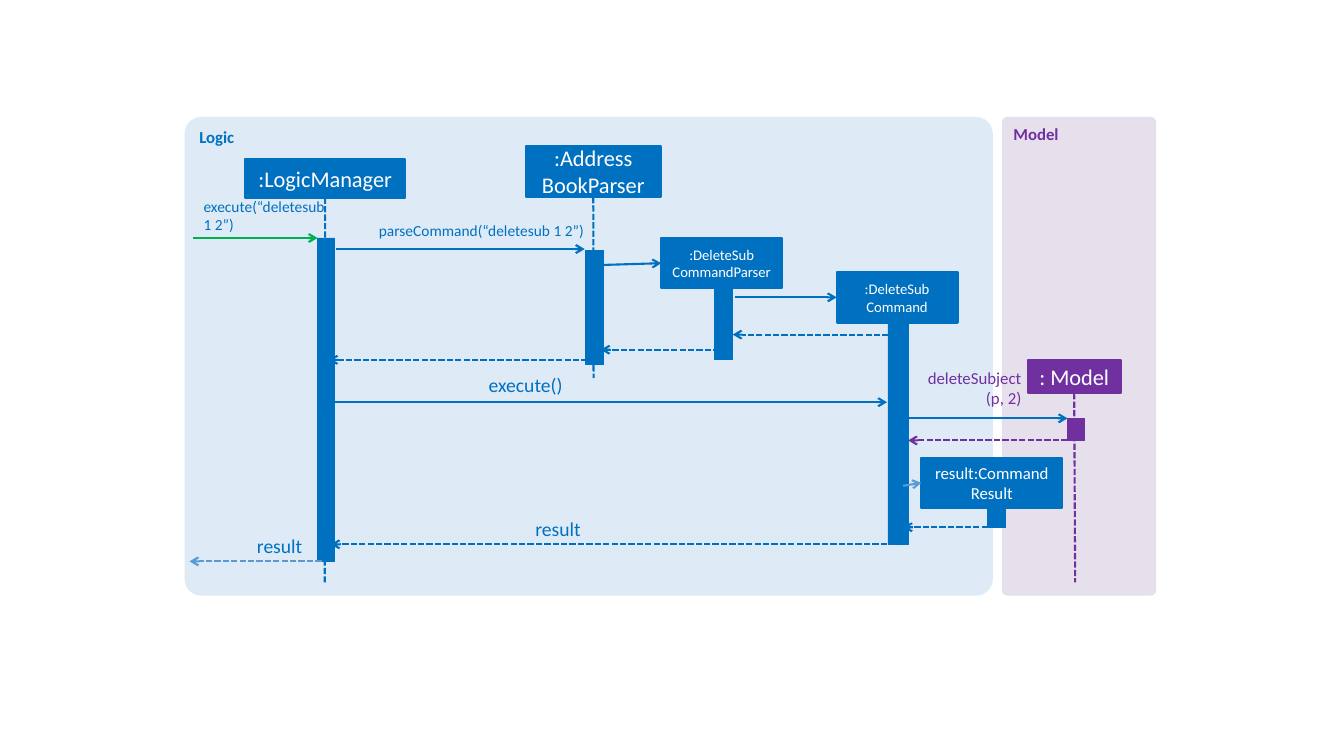
from lxml.etree import SubElement
from pptx import Presentation
from pptx.dml.color import RGBColor
from pptx.enum.dml import MSO_LINE
from pptx.enum.shapes import MSO_CONNECTOR, MSO_SHAPE
from pptx.enum.text import MSO_ANCHOR, PP_ALIGN
from pptx.oxml.ns import qn
from pptx.util import Pt

BLUE = RGBColor(0x00, 0x70, 0xC0)
LIGHT_BLUE = RGBColor(0x5B, 0x9B, 0xD5)
PALE_BLUE = RGBColor(0xDE, 0xEB, 0xF7)
PURPLE = RGBColor(0x70, 0x30, 0xA0)
PALE_PURPLE = RGBColor(0xE6, 0xE0, 0xEC)
GREEN = RGBColor(0x00, 0xB0, 0x50)
WHITE = RGBColor(0xFF, 0xFF, 0xFF)

BOTTOM, LEFT = 2, 1
PANEL_TOP, PANEL_HEIGHT = 83.5, 342
LIFELINE_END = 416


class SequenceDiagram:
    font_name = "Calibri"
    line_width = 1.5

    def __init__(self, slide):
        self.slide = slide

    def set_text(self, shape, text, size, color, align, bold=False):
        shape.text_frame.word_wrap = True
        shape.text_frame.text = text
        for paragraph in shape.text_frame.paragraphs:
            paragraph.alignment = align
            paragraph.font.name = self.font_name
            paragraph.font.size = Pt(size)
            paragraph.font.bold = bold
            paragraph.font.color.rgb = color

    def block(self, kind, left, top, width, height, fill):
        shape = self.slide.shapes.add_shape(kind, Pt(left), Pt(top), Pt(width), Pt(height))
        shape.shadow.inherit = False
        shape.fill.solid()
        shape.fill.fore_color.rgb = fill
        return shape

    def panel(self, name, left, width, fill, color):
        shape = self.block(MSO_SHAPE.ROUNDED_RECTANGLE, left, PANEL_TOP, width, PANEL_HEIGHT, fill)
        shape.adjustments[0] = 0.035
        shape.line.fill.background()
        shape.text_frame.vertical_anchor = MSO_ANCHOR.TOP
        self.set_text(shape, name, 12, color, PP_ALIGN.LEFT, bold=True)

    def participant(self, name, left, top, width, height, size, color=BLUE):
        shape = self.block(MSO_SHAPE.RECTANGLE, left, top, width, height, color)
        shape.line.color.rgb = color
        shape.line.width = Pt(self.line_width)
        shape.text_frame.vertical_anchor = MSO_ANCHOR.MIDDLE
        self.set_text(shape, name, size, WHITE, PP_ALIGN.CENTER)
        return shape

    def activation(self, left, top, width, height, color=BLUE):
        shape = self.block(MSO_SHAPE.RECTANGLE, left, top, width, height, color)
        shape.line.color.rgb = color
        shape.line.width = Pt(0.5)

    def line(self, start, end, color, dashed=False, arrow=True):
        connector = self.slide.shapes.add_connector(
            MSO_CONNECTOR.STRAIGHT, *(Pt(value) for value in (*start, *end)))
        connector.line.color.rgb = color
        connector.line.width = Pt(self.line_width)
        if dashed:
            connector.line.dash_style = MSO_LINE.SQUARE_DOT
        if arrow:
            SubElement(connector.get_or_add_ln(), qn("a:tailEnd"), type="arrow")
        SubElement(connector._element.spPr, qn("a:effectLst"))
        return connector

    def lifeline(self, participant, x, top, end, color=BLUE):
        connector = self.line((x, top), (x, end), color, dashed=True, arrow=False)
        connector.begin_connect(participant, BOTTOM)

    def call(self, start, end, y, color=BLUE, target=None):
        connector = self.line((start, y), (end, y), color)
        if target is not None:
            connector.end_connect(target, LEFT)

    def reply(self, start, end, y, color=BLUE):
        self.line((start, y), (end, y), color, dashed=True)

    def label(self, text, left, top, width, height, size, color=BLUE, align=PP_ALIGN.RIGHT):
        box = self.slide.shapes.add_textbox(Pt(left), Pt(top), Pt(width), Pt(height))
        frame = box.text_frame
        frame.margin_left = frame.margin_right = frame.margin_top = frame.margin_bottom = 0
        self.set_text(box, text, size, color, align)


def main():
    presentation = Presentation()
    presentation.slide_width = Pt(960)
    presentation.slide_height = Pt(540)
    diagram = SequenceDiagram(presentation.slides.add_slide(presentation.slide_layouts[6]))

    # Component panels
    diagram.panel("Model", 715.7, 110.2, PALE_PURPLE, PURPLE)
    diagram.panel("Logic", 131.8, 577.4, PALE_BLUE, BLUE)

    # Participants
    logic_manager = diagram.participant(":LogicManager", 175, 113.8, 114.5, 27.4, 16)
    book_parser = diagram.participant(":Address\nBookParser", 375.8, 104, 96, 36.7, 16)
    command_parser = diagram.participant(":DeleteSub\nCommandParser", 472.3, 170, 86.4, 36, 10.5)
    command = diagram.participant(":DeleteSub\vCommand", 597.6, 194.4, 86.4, 36, 10.5)
    model = diagram.participant(": Model", 734, 257, 66.6, 23.8, 16, PURPLE)

    # Lifelines
    diagram.lifeline(logic_manager, 232, 141.2, LIFELINE_END)
    diagram.lifeline(book_parser, 424, 140.7, 270)
    diagram.lifeline(model, 768, 280.8, LIFELINE_END, PURPLE)
    result = diagram.participant("result:Command Result", 658.1, 326.9, 100.8, 36, 12)

    # Activation bars
    diagram.activation(227, 170, 12, 231)
    diagram.activation(418.3, 178.6, 13, 82)
    diagram.activation(510.5, 198, 12.6, 59)
    diagram.activation(634.3, 226, 14.4, 162.8)
    diagram.activation(762.5, 298.8, 12.3, 15.8, PURPLE)
    diagram.activation(705.6, 362.9, 12.3, 13.7)

    # Calls
    diagram.call(138.2, 226.8, 170, GREEN)
    diagram.call(239.8, 417.6, 177.9)
    diagram.call(426.2, 472.3, 189.4, target=command_parser)
    diagram.call(524.9, 597.6, 212.4, target=command)
    diagram.call(236.2, 633.6, 287.3)
    diagram.call(644.4, 762.5, 298.8)
    diagram.call(645.1, 658.1, 347, LIGHT_BLUE, target=result)

    # Replies
    diagram.reply(640.8, 523.4, 239)
    diagram.reply(514, 429.1, 249.8)
    diagram.reply(419.8, 234.7, 257)
    diagram.reply(762.5, 648.7, 314.6, PURPLE)
    diagram.reply(705.6, 645.1, 376.6)
    diagram.reply(633.6, 236.2, 388.8)
    diagram.reply(229.7, 135.4, 401, LIGHT_BLUE)

    # Message labels
    diagram.label("execute(“deletesub 1 2”)", 145.4, 140.8, 94.3, 26.6, 11, align=PP_ALIGN.LEFT)
    diagram.label("parseCommand(“deletesub 1 2”)", 226.8, 157.7, 190.5, 13.7, 11)
    diagram.label("execute()", 331.9, 266.4, 70, 17.3, 14)
    diagram.label("deleteSubject\n(p, 2)", 611.3, 262.8, 118.3, 28.8, 12, PURPLE)
    diagram.label("result", 362.9, 369.4, 52, 17.3, 14)
    diagram.label("result", 156.2, 381.6, 59.8, 17.3, 14)

    presentation.save("out.pptx")


if __name__ == "__main__":
    main()
